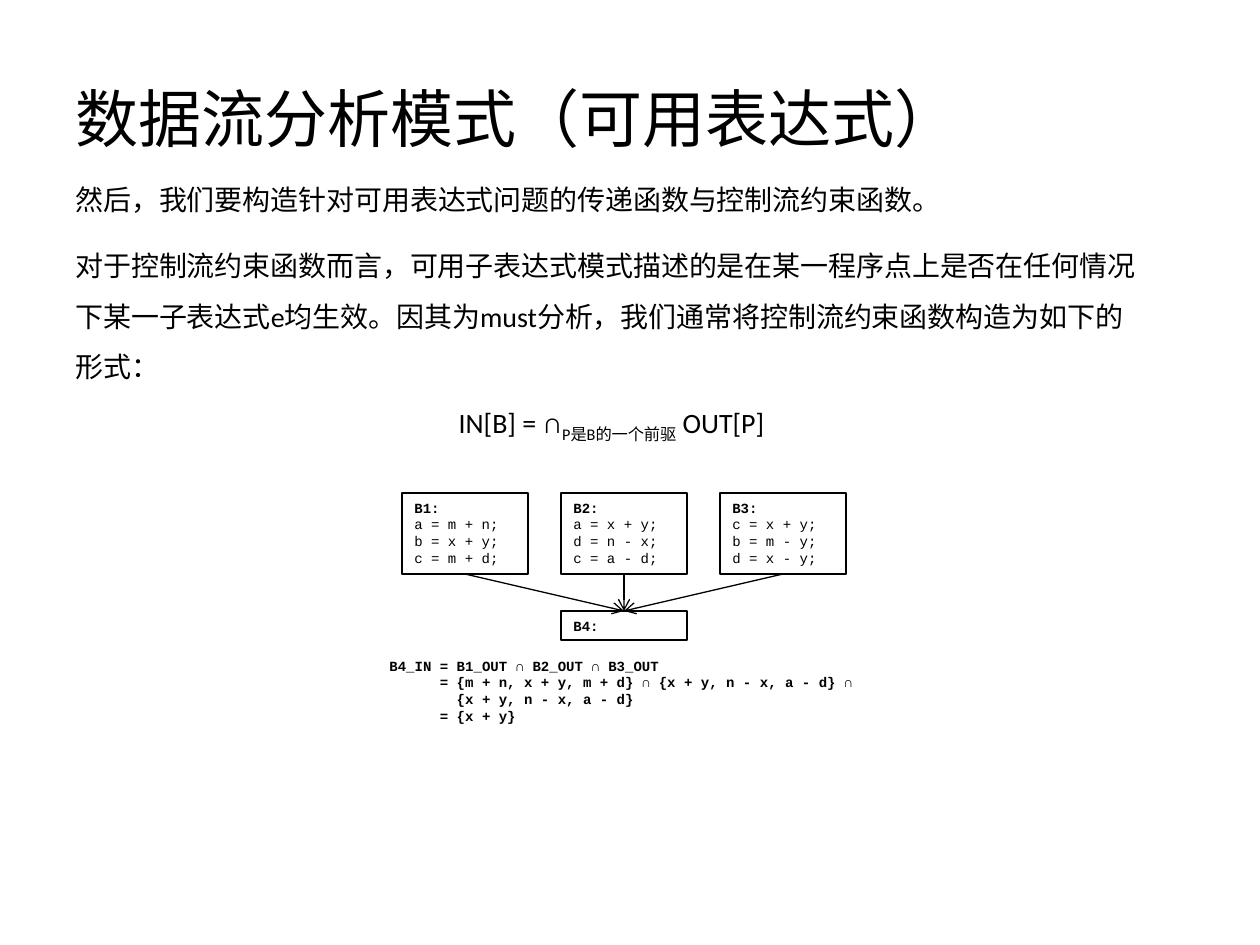
from dataclasses import dataclass

from lxml.etree import SubElement
from pptx import Presentation
from pptx.dml.color import RGBColor
from pptx.enum.shapes import MSO_CONNECTOR as Connector, MSO_SHAPE as Preset
from pptx.enum.text import MSO_ANCHOR as Anchor, MSO_AUTO_SIZE as AutoSize, PP_ALIGN as Align
from pptx.oxml.ns import qn
from pptx.shapes.autoshape import Shape
from pptx.slide import Slide
from pptx.util import Emu, Pt

BLACK = RGBColor(0, 0, 0)
PX_PER_INCH = 126
BODY_FONT = "Calibri"
CODE_FONT = "Courier New"
BOTTOM, TOP = 2, 0


@dataclass(frozen=True)
class TextRun:
    text: str
    bold: bool = False
    baseline: int = 0


@dataclass(frozen=True)
class Style:
    font: str
    size: int
    line_spacing: float = 1.0


@dataclass(frozen=True)
class Frame:
    left: int
    top: int
    width: int
    height: int

    def lengths(self) -> tuple[Emu, ...]:
        return tuple(px(value) for value in (self.left, self.top, self.width, self.height))


@dataclass(frozen=True)
class Block:
    name: str
    statements: tuple[str, ...]
    frame: Frame


TITLE = Style(BODY_FONT, 36)
INTRO = Style(BODY_FONT, 16, 1.3)
BODY = Style(BODY_FONT, 16, 1.5)
CODE = Style(CODE_FONT, 8)

PREDECESSORS = [
    Block(name, statements, Frame(402 + 159 * index, 493, 126, 81))
    for index, (name, statements) in enumerate([
        ("B1:", ("a = m + n;", "b = x + y;", "c = m + d;")),
        ("B2:", ("a = x + y;", "d = n - x;", "c = a - d;")),
        ("B3:", ("c = x + y;", "b = m - y;", "d = x - y;")),
    ])
]
SUCCESSOR = Block("B4:", (), Frame(561, 611, 126, 29))

INTRO_TEXT = "然后，我们要构造针对可用表达式问题的传递函数与控制流约束函数。"
BODY_TEXT = (
    "对于控制流约束函数而言，可用子表达式模式描述的是在某一程序点上是否在任何情况下"
    "某一子表达式e均生效。因其为must分析，我们通常将控制流约束函数构造为如下的形式："
)
CONSTRAINT = [TextRun("IN[B] = ∩"), TextRun("P是B的一个前驱", baseline=-25000), TextRun(" OUT[P]")]
DERIVATION = [
    "B4_IN = B1_OUT ∩ B2_OUT ∩ B3_OUT",
    "      = {m + n, x + y, m + d} ∩ {x + y, n - x, a - d} ∩",
    "        {x + y, n - x, a - d}",
    "      = {x + y}",
]


def px(value: int) -> Emu:
    return Emu(round(value * 914400 / PX_PER_INCH))


def write_text(shape: Shape, lines: list[list[TextRun]], style: Style) -> None:
    text_frame = shape.text_frame
    text_frame.word_wrap = True
    for index, runs in enumerate(lines):
        paragraph = text_frame.add_paragraph() if index else text_frame.paragraphs[0]
        paragraph.alignment = Align.LEFT
        paragraph.line_spacing = style.line_spacing
        for item in runs:
            run = paragraph.add_run()
            run.text = item.text
            run.font.name = style.font
            run.font.size = Pt(style.size)
            run.font.bold = item.bold
            run.font.color.rgb = BLACK
            if item.baseline:
                run._r.get_or_add_rPr().set("baseline", str(item.baseline))


def add_text(slide: Slide, frame: Frame, lines: list[list[TextRun]], style: Style) -> Shape:
    shape = slide.shapes.add_textbox(*frame.lengths())
    write_text(shape, lines, style)
    return shape


def add_block(slide: Slide, block: Block) -> Shape:
    shape = slide.shapes.add_shape(Preset.RECTANGLE, *block.frame.lengths())
    shape.shadow.inherit = False
    shape.fill.background()
    shape.line.color.rgb = BLACK
    shape.line.width = Pt(1)
    shape.text_frame.vertical_anchor = Anchor.TOP
    lines = [[TextRun(block.name, bold=True)]]
    lines += [[TextRun(statement)] for statement in block.statements]
    write_text(shape, lines, CODE)
    return shape


def add_arrow(slide: Slide, source: Shape, target: Shape) -> None:
    arrow = slide.shapes.add_connector(Connector.STRAIGHT, 0, 0, 0, 0)
    arrow.begin_connect(source, BOTTOM)
    arrow.end_connect(target, TOP)
    arrow.line.color.rgb = BLACK
    arrow.line.width = Pt(0.75)
    SubElement(arrow.line._get_or_add_ln(), qn("a:tailEnd"), type="arrow")
    SubElement(arrow._element.spPr, qn("a:effectLst"))


def main() -> None:
    presentation = Presentation()
    presentation.slide_width = px(1260)
    presentation.slide_height = px(945)
    slide = presentation.slides.add_slide(presentation.slide_layouts[5])

    title = slide.shapes.title
    title.left, title.top, title.width, title.height = Frame(63, 38, 1134, 158).lengths()
    title.text_frame.auto_size = AutoSize.NONE
    title.text_frame.vertical_anchor = Anchor.MIDDLE
    write_text(title, [[TextRun("数据流分析模式（可用表达式）")]], TITLE)

    add_text(slide, Frame(63, 166, 1077, 137), [[TextRun(INTRO_TEXT)]], INTRO)
    body = add_text(slide, Frame(63, 226, 1097, 217), [[TextRun(BODY_TEXT)], CONSTRAINT], BODY)
    constraint = body.text_frame.paragraphs[1]
    constraint.alignment = Align.CENTER
    constraint.space_before = Pt(2)

    successor = add_block(slide, SUCCESSOR)
    for block in PREDECESSORS:
        add_arrow(slide, add_block(slide, block), successor)

    derivation = [[TextRun(line, bold=True)] for line in DERIVATION]
    add_text(slide, Frame(377, 651, 496, 81), derivation, CODE)

    presentation.save("out.pptx")


if __name__ == "__main__":
    main()
